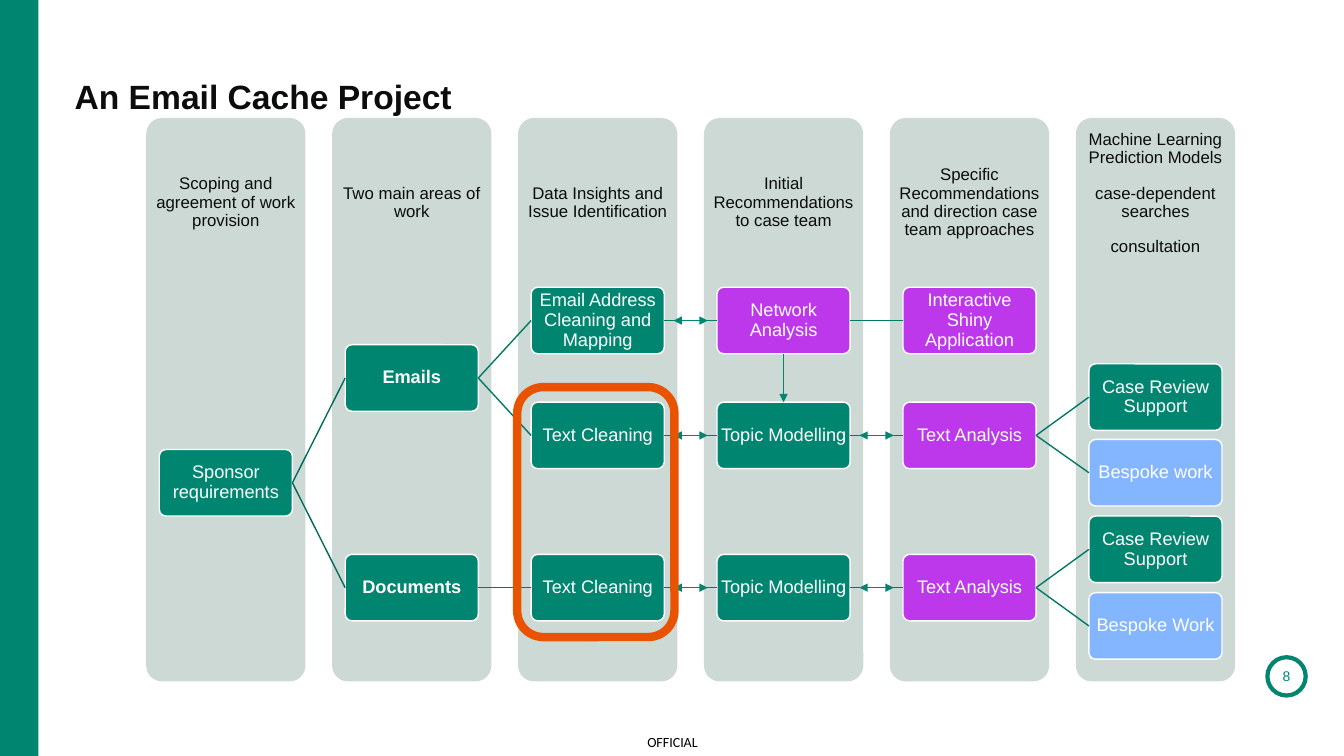
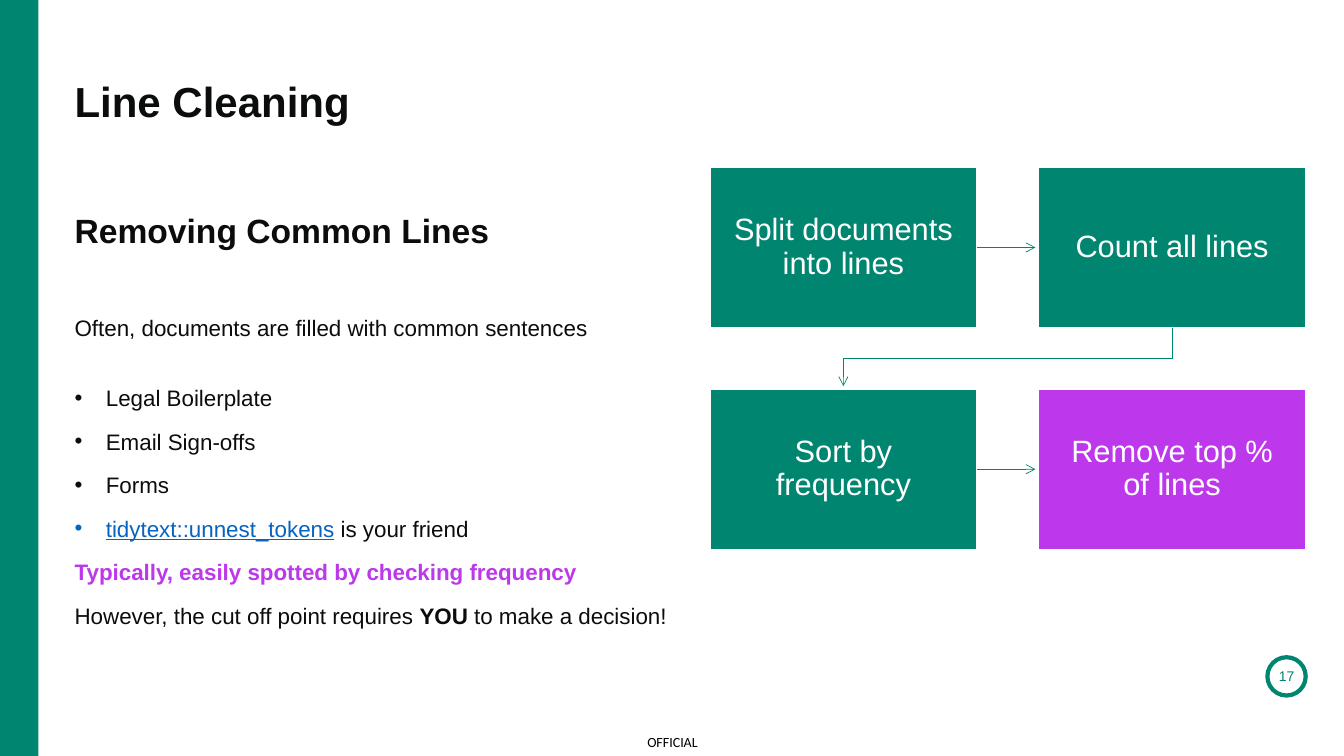
import pptx
import pptx.util
import pptx.dml.color
import pptx.enum.shapes
import pptx.enum.text
import pptx.oxml
import pptx.oxml.ns
from lxml import etree

Inches, Pt = pptx.util.Inches, pptx.util.Pt
RGBColor = pptx.dml.color.RGBColor
SHAPES = pptx.enum.shapes.MSO_SHAPE
STRAIGHT = pptx.enum.shapes.MSO_CONNECTOR.STRAIGHT
ANCHOR = pptx.enum.text.MSO_ANCHOR
ALIGN = pptx.enum.text.PP_ALIGN
BOTTOM, TOP, LEFT, RIGHT = 2, 0, 1, 3

GREEN = RGBColor(0x00, 0x86, 0x70)
DARK_GREEN = RGBColor(0x00, 0x6B, 0x5A)
MID_GREEN = RGBColor(0x00, 0x7A, 0x66)
PALE_GREEN = RGBColor(0xCC, 0xD9, 0xD5)
PURPLE = RGBColor(0xBD, 0x38, 0xEA)
SKY = RGBColor(0x83, 0xB6, 0xFF)
ORANGE = RGBColor(0xE9, 0x53, 0x00)
LINK_BLUE = RGBColor(0x05, 0x63, 0xC1)
INK = RGBColor(0x0B, 0x0C, 0x0C)
BLACK = RGBColor(0x00, 0x00, 0x00)
WHITE = RGBColor(0xFF, 0xFF, 0xFF)

# Content: project flow
STAGES = [
    ["Scoping and agreement of work provision"],
    ["Two main areas of work"],
    ["Data Insights and Issue Identification"],
    ["Initial Recommendations to case team"],
    ["Specific Recommendations and direction case team approaches"],
    ["Machine Learning Prediction Models", "case-dependent searches", "consultation"],
]
# name: (stage, vertical centre, text, fill, bold)
TASKS = {
    "sponsor": (0, 4.79, "Sponsor requirements", GREEN, False),
    "emails": (1, 3.75, "Emails", GREEN, True),
    "documents": (1, 5.83, "Documents", GREEN, True),
    "addresses": (2, 3.18, "Email Address Cleaning and Mapping", GREEN, False),
    "email text": (2, 4.32, "Text Cleaning", GREEN, False),
    "document text": (2, 5.83, "Text Cleaning", GREEN, False),
    "network": (3, 3.18, "Network Analysis", PURPLE, False),
    "email topics": (3, 4.32, "Topic Modelling", GREEN, False),
    "document topics": (3, 5.83, "Topic Modelling", GREEN, False),
    "application": (4, 3.18, "Interactive Shiny Application", PURPLE, False),
    "email analysis": (4, 4.32, "Text Analysis", PURPLE, False),
    "document analysis": (4, 5.83, "Text Analysis", PURPLE, False),
    "email review": (5, 3.94, "Case Review Support", GREEN, False),
    "email bespoke": (5, 4.69, "Bespoke work", SKY, False),
    "document review": (5, 5.45, "Case Review Support", GREEN, False),
    "document bespoke": (5, 6.21, "Bespoke Work", SKY, False),
}
LINKS = [
    ("sponsor", "emails"), ("sponsor", "documents"),
    ("emails", "addresses"), ("emails", "email text"),
    ("documents", "document text"),
    ("addresses", "network"), ("network", "application"),
    ("email text", "email topics"), ("email topics", "email analysis"),
    ("document text", "document topics"), ("document topics", "document analysis"),
    ("email analysis", "email review"), ("email analysis", "email bespoke"),
    ("document analysis", "document review"), ("document analysis", "document bespoke"),
]
TWO_WAY = [
    ("addresses", "network"),
    ("email text", "email topics"), ("email topics", "email analysis"),
    ("document text", "document topics"), ("document topics", "document analysis"),
]

# Content: line cleaning
STEPS = [
    ("Split documents into lines", GREEN), ("Count all lines", GREEN),
    ("Sort by frequency", GREEN), ("Remove top % of lines", PURPLE),
]
# (runs, bullet, space before)
CLEANING_NOTES = [
    ([("Often, documents are filled with common sentences", {})], False, 0),
    ([("Legal Boilerplate", {})], True, 29),
    ([("Email Sign-offs", {})], True, 10),
    ([("Forms", {})], True, 10),
    ([("tidytext::unnest_tokens", {"color": LINK_BLUE, "underline": True}),
      (" is your friend", {})], True, 10),
    ([("Typically, easily spotted by checking frequency",
       {"color": PURPLE, "bold": True})], False, 10),
    ([("However, the cut off point requires ", {}), ("YOU", {"bold": True}),
      (" to make a decision!", {})], False, 10),
]


# Shared formatting
def apply(target, values):
    for name, value in values.items():
        setattr(target, name, value)


def lengths(*values):
    return [Inches(value) for value in values]


def add_bullet(paragraph):
    properties = paragraph._p.get_or_add_pPr()
    properties.set("marL", str(Inches(0.31)))
    properties.set("indent", str(-Inches(0.31)))
    for tag, name, value in (("a:buFont", "typeface", "Arial"), ("a:buChar", "char", "•")):
        etree.SubElement(properties, pptx.oxml.ns.qn(tag)).set(name, value)


def write(shape, paragraphs, size, color=WHITE, inset=0, align=ALIGN.CENTER,
          anchor=ANCHOR.MIDDLE, spacing=0.9, font="Arial", bold=False):
    """Fill a shape with (runs, bullet, space before) paragraphs."""
    frame = shape.text_frame
    apply(frame, {"word_wrap": True, "vertical_anchor": anchor})
    apply(frame, {"margin_" + side: Inches(inset)
                  for side in ("left", "top", "right", "bottom")})
    for index, (runs, bullet, space_before) in enumerate(paragraphs):
        paragraph = frame.add_paragraph() if index else frame.paragraphs[0]
        if bullet:
            add_bullet(paragraph)
        apply(paragraph, {"alignment": align, "line_spacing": spacing,
                          "space_before": Pt(space_before)})
        for text, changes in runs:
            run = paragraph.add_run()
            run.text = text
            look = {"name": font, "size": Pt(size), "bold": bold, **changes}
            run.font.color.rgb = look.pop("color", color)
            apply(run.font, look)


def plain(text):
    return [([(text, {})], False, 0)]


def add_box(slide, kind, box, fill=None, line=None, weight=1, corner=None):
    shape = slide.shapes.add_shape(kind, *lengths(*box))
    paint(shape, fill, line, weight)
    if corner is not None:
        shape.adjustments[0] = corner
    return shape


def paint(shape, fill, line, weight):
    shape.shadow.inherit = False
    for part, color in ((shape.fill, fill), (shape.line.fill, line)):
        if color is None:
            part.background()
        else:
            part.solid()
            part.fore_color.rgb = color
    if line is not None:
        shape.line.width = Pt(weight)


def add_arrowheads(shape, **ends):
    outline = shape.line._get_or_add_ln()
    for tag in ("headEnd", "tailEnd"):
        if tag in ends:
            etree.SubElement(outline, pptx.oxml.ns.qn("a:" + tag)).set("type", ends[tag])


def add_line(slide, start=(0, 0), end=(0, 0), color=GREEN, weight=0.5,
             begin=None, finish=None, **ends):
    """Draw a line; begin and finish are (shape, side) joints."""
    line = slide.shapes.add_connector(STRAIGHT, *lengths(*start, *end))
    if begin:
        line.begin_connect(*begin)
    if finish:
        line.end_connect(*finish)
    line.line.color.rgb = color
    line.line.width = Pt(weight)
    etree.SubElement(line._element.spPr, pptx.oxml.ns.qn("a:effectLst"))
    add_arrowheads(line, **ends)
    return line


def add_text(slide, box, paragraphs, size, **look):
    shape = slide.shapes.add_textbox(*lengths(*box))
    write(shape, paragraphs, size, **look)
    return shape


def start_slide(presentation, title, size, number, width):
    slide = presentation.slides.add_slide(presentation.slide_layouts[5])
    add_box(slide, SHAPES.RECTANGLE, (0, 0, 0.38, 7.5), GREEN)
    add_text(slide, (6.27, 7.21, 0.8, 0.29), plain("OFFICIAL"), 10,
             color=BLACK, font="Calibri", spacing=1.1)
    badge = add_box(slide, SHAPES.OVAL, (12.57, 6.52, 0.38, 0.38), line=GREEN, weight=3)
    write(badge, plain(str(number)), 10, color=GREEN, spacing=1.0)
    heading = slide.shapes.title
    apply(heading, dict(zip(("left", "top", "width", "height"),
                            lengths(0.74, 0.75, width, size / 60))))
    write(heading, plain(title), size, color=INK, align=ALIGN.LEFT,
          anchor=ANCHOR.TOP, spacing=1.0, bold=True)
    return slide


def build_project(presentation):
    slide = start_slide(presentation, "An Email Cache Project", 24, 8, 6.77)
    first, last, top, width = 1.45, 10.67, 1.17, 1.58
    pitch = (last - first) / (len(STAGES) - 1)
    task_width, task_height = 1.32, 0.66

    # Stage columns with their headings
    for index, texts in enumerate(STAGES):
        left = first + index * pitch
        add_box(slide, SHAPES.ROUNDED_RECTANGLE, (left, top, width, 5.59),
                PALE_GREEN, corner=0.1)
        paragraphs = [([(text, {})], False, 12.5 if position else 0)
                      for position, text in enumerate(texts)]
        heading = add_text(slide, (left, top, width, 1.68), paragraphs, 12,
                           color=INK, inset=0.09)
        if len(texts) > 1:
            heading.text_frame.margin_bottom = Inches(0.27)

    # Task boxes
    boxes = {}
    for name, (stage, middle, text, fill, bold) in TASKS.items():
        left = first + stage * pitch + (width - task_width) / 2
        box = add_box(slide, SHAPES.ROUNDED_RECTANGLE,
                      (left, middle - task_height / 2, task_width, task_height),
                      fill, WHITE, corner=0.1)
        write(box, plain(text), 13, inset=0.01, bold=bold)
        boxes[name] = box

    # Links between tasks
    for source, target in LINKS:
        add_line(slide, color=DARK_GREEN if source == "sponsor" else MID_GREEN, weight=1,
                 begin=(boxes[source], RIGHT), finish=(boxes[target], LEFT))
    add_line(slide, begin=(boxes["network"], BOTTOM),
             finish=(boxes["email topics"], TOP), tailEnd="triangle")
    for source, target in TWO_WAY:
        stage, middle = TASKS[source][:2]
        centre = first + stage * pitch + (width + pitch) / 2
        add_line(slide, (centre - 0.17, middle), (centre + 0.17, middle),
                 headEnd="triangle", tailEnd="triangle")

    # Highlight around text cleaning
    add_box(slide, SHAPES.ROUNDED_RECTANGLE, (5.13, 3.84, 1.56, 2.48),
            line=ORANGE, weight=6)


def build_cleaning(presentation):
    slide = start_slide(presentation, "Line Cleaning", 30, 17, 5.92)
    body = {"color": INK, "align": ALIGN.LEFT, "anchor": ANCHOR.TOP, "spacing": 1.1}
    add_text(slide, (0.74, 2.04, 5.92, 0.41), plain("Removing Common Lines"), 24,
             bold=True, **body)
    add_text(slide, (0.74, 3.09, 5.92, 3.66), CLEANING_NOTES, 16, **body)

    # Steps in a two by two grid
    left, top, width, height = 7.04, 1.66, 2.65, 1.59
    across, down, clearance = 3.26, 2.2, 0.03
    boxes = []
    for index, (text, fill) in enumerate(STEPS):
        row, column = divmod(index, 2)
        box = add_box(slide, SHAPES.RECTANGLE,
                      (left + column * across, top + row * down, width, height), fill, WHITE)
        write(box, plain(text), 22, inset=0.17)
        boxes.append(box)

    # Arrows along each row
    for row in range(2):
        middle = top + row * down + height / 2
        add_line(slide, (left + width, middle), (left + across - clearance, middle),
                 begin=(boxes[2 * row], RIGHT), tailEnd="arrow")

    # Bent arrow from the first row to the second
    end_x = left + width / 2
    start_x, start_y = end_x + across, top + height
    bend_y = top + (height + down) / 2
    builder = slide.shapes.build_freeform(*lengths(start_x, start_y))
    builder.add_line_segments(
        [lengths(x, y) for x, y in ((start_x, bend_y), (end_x, bend_y),
                                    (end_x, top + down - clearance))], close=False)
    bend = builder.convert_to_shape()
    paint(bend, None, GREEN, 0.5)
    add_arrowheads(bend, tailEnd="arrow")


def main():
    presentation = pptx.Presentation()
    apply(presentation, {"slide_width": Inches(13.33), "slide_height": Inches(7.5)})
    build_project(presentation)
    build_cleaning(presentation)
    presentation.save("out.pptx")


if __name__ == "__main__":
    main()
